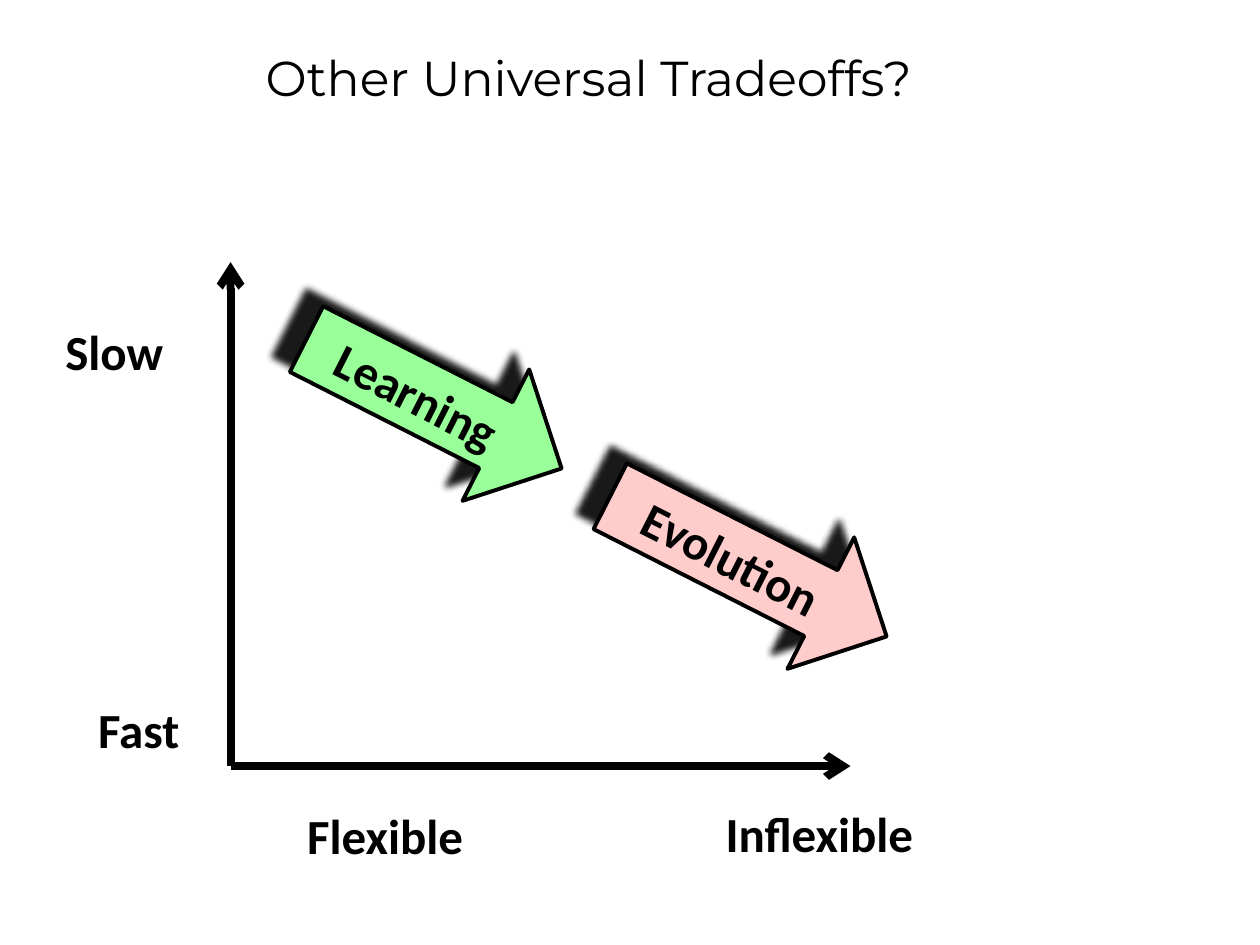
"""Build the slide on universal tradeoffs between speed and flexibility."""
from lxml import etree
from pptx import Presentation
from pptx.dml.color import RGBColor
from pptx.enum.shapes import MSO_CONNECTOR, MSO_SHAPE
from pptx.enum.text import MSO_ANCHOR, MSO_AUTO_SIZE, PP_ALIGN
from pptx.oxml import parse_xml
from pptx.oxml.ns import nsdecls, qn
from pptx.util import Pt

STRAIGHT = MSO_CONNECTOR.STRAIGHT
RIGHT_ARROW = MSO_SHAPE.RIGHT_ARROW
MIDDLE = MSO_ANCHOR.MIDDLE
FIT_SHAPE = MSO_AUTO_SIZE.SHAPE_TO_FIT_TEXT
CENTER = PP_ALIGN.CENTER
BLACK = "000000"
SHADOW = (
    f'<a:effectLst {nsdecls("a")}><a:outerShdw blurRad="{Pt(4)}" dist="{Pt(13)}" '
    'dir="13500000" algn="ctr" rotWithShape="0"><a:srgbClr val="000000">'
    '<a:alpha val="90000"/></a:srgbClr></a:outerShdw></a:effectLst>'
)


def color(value):
    return RGBColor.from_string(value)


def write(frame, words, font_name="Calibri", bold=True):
    paragraph = frame.paragraphs[0]
    paragraph.text = words
    paragraph.font.name = font_name
    paragraph.font.size = Pt(28)
    paragraph.font.bold = bold
    paragraph.font.color.rgb = color(BLACK)
    return paragraph


presentation = Presentation()
presentation.slide_width, presentation.slide_height = Pt(720), Pt(540)
slide = presentation.slides.add_slide(presentation.slide_layouts[6])

origin_x, origin_y = 131.76, 437.76
for end_x, end_y in [(origin_x, 149.76), (486, origin_y)]:
    axis = slide.shapes.add_connector(
        STRAIGHT, Pt(origin_x), Pt(origin_y), Pt(end_x), Pt(end_y))
    axis.line.color.rgb = color(BLACK)
    axis.line.width = Pt(4.5)
    etree.SubElement(axis.line._get_or_add_ln(), qn("a:tailEnd"), type="arrow")
    etree.SubElement(axis._element.spPr, qn("a:effectLst"))

for words, left, top, width, font_name, bold in [
    ("Other Universal Tradeoffs?", 144.72, 23.76, 430.56, "Montserrat", False),
    ("Fast", 48.96, 396, 72.72, "Calibri", True),
    ("Slow", 30.24, 180, 80.64, "Calibri", True),
    ("Flexible", 168.48, 456.48, 120.24, "Calibri", True),
    ("Inflexible", 407.52, 455.76, 137.52, "Calibri", True),
]:
    label = slide.shapes.add_textbox(Pt(left), Pt(top), Pt(width), Pt(41))
    label.text_frame.word_wrap = False
    label.text_frame.auto_size = FIT_SHAPE
    write(label.text_frame, words, font_name, bold)

for process, left, top, width, fill in [
    ("Learning", 166.32, 188.64, 163.44, "99FF99"),
    ("Evolution", 339.12, 281.52, 177.12, "FFCCCC"),
]:
    arrow = slide.shapes.add_shape(RIGHT_ARROW, Pt(left), Pt(top), Pt(width), Pt(84.24))
    arrow.rotation = 26.9
    arrow.fill.solid()
    arrow.fill.fore_color.rgb = color(fill)
    arrow.line.color.rgb = color(BLACK)
    arrow.line.width = Pt(2.25)
    arrow._element.spPr.append(parse_xml(SHADOW))
    arrow.text_frame.vertical_anchor = MIDDLE
    write(arrow.text_frame, process).alignment = CENTER

presentation.save("out.pptx")
